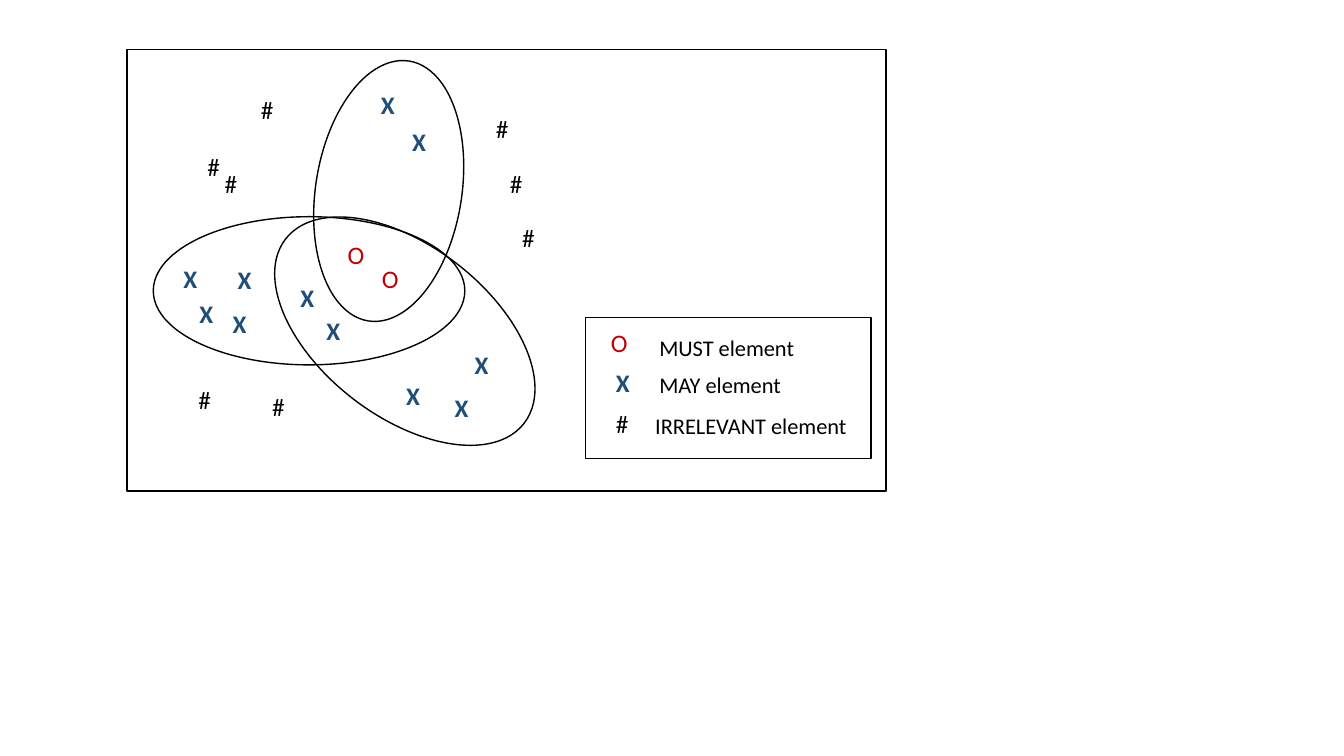
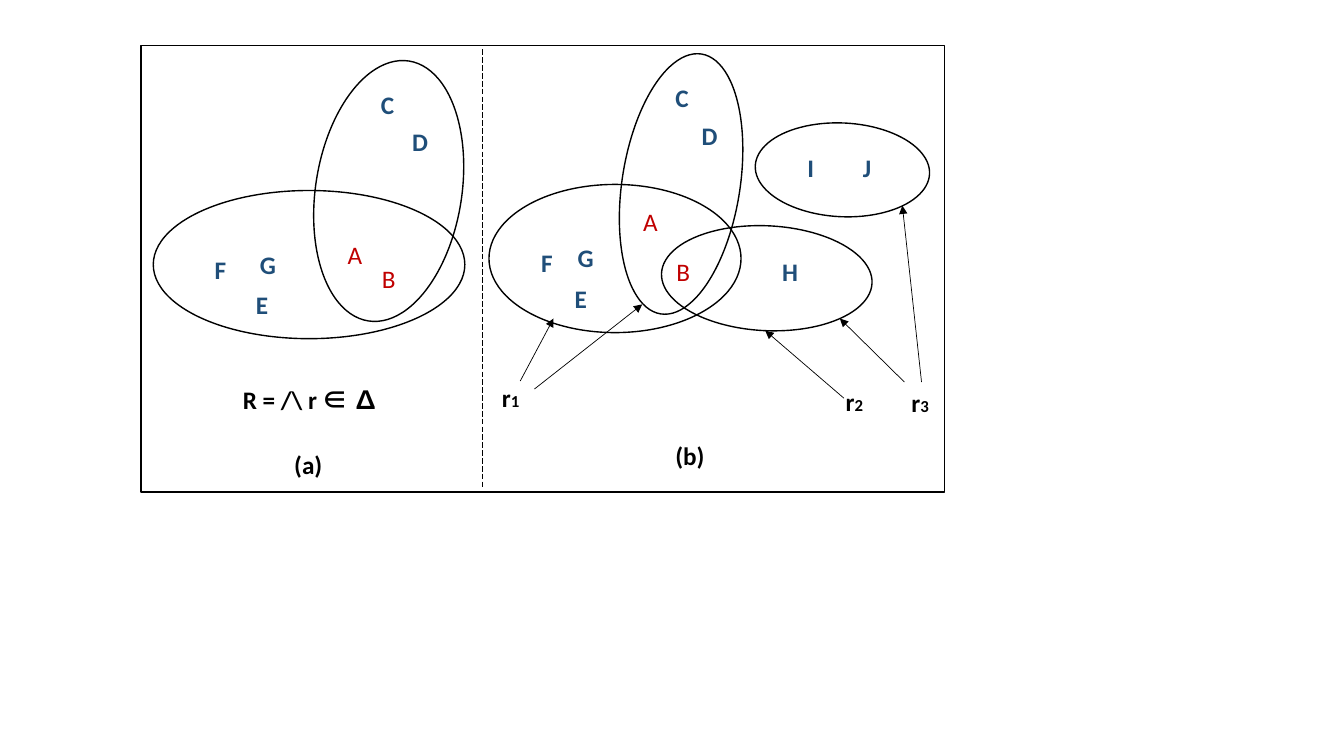
from lxml import etree
from pptx import Presentation
from pptx.dml.color import RGBColor
from pptx.enum import dml, shapes, text
from pptx.oxml import ns
from pptx.util import Inches, Pt

# Shared formats
BLACK = "000000"
MUST = {"size": Pt(18), "bold": False, "color": "C00000"}
MAY = {"size": Pt(18), "bold": True, "color": "1F4E79"}
OTHER = {"size": Pt(18), "bold": False, "color": BLACK}
KEY = {**OTHER, "size": Pt(16)}
LABEL = {**OTHER, "bold": True}
SUB = {**LABEL, "size": Pt(12)}
MATH = {**LABEL, "name": "Noto Sans CJK JP"}
OVAL, RECT = shapes.MSO_SHAPE.OVAL, shapes.MSO_SHAPE.RECTANGLE


def outline(page, kind, left, top, wide, high, turn=0):
    """Draw an unfilled shape with a thin black line."""
    form = page.shapes.add_shape(kind, *map(Inches, (left, top, wide, high)))
    form.rotation = turn
    form.shadow.inherit = False
    form.fill.background()
    form.line.color.rgb = RGBColor.from_string(BLACK)
    form.line.width = Pt(1)


def write(page, left, top, *runs, wide=0.54):
    """Place one line of text made of (words, format) runs."""
    box = page.shapes.add_textbox(*map(Inches, (left, top, wide, 0.4)))
    frame = box.text_frame
    frame.word_wrap = True
    frame.auto_size = text.MSO_AUTO_SIZE.NONE
    for words, style in runs:
        run = frame.paragraphs[0].add_run()
        run.text = words
        for key, value in {"name": "Calibri", **style}.items():
            if key == "color":
                run.font.color.rgb = RGBColor.from_string(value)
            else:
                setattr(run.font, key, value)
        if "name" in style:
            etree.SubElement(run.font._element, ns.qn("a:ea"), typeface=style["name"])


deck = Presentation()
deck.slide_width, deck.slide_height = Inches(13.33), Inches(7.5)
sets, rules = [deck.slides.add_slide(deck.slide_layouts[6]) for _ in range(2)]

# Ellipses: the upright one is the same on both slides
for page in (sets, rules):
    outline(page, OVAL, 2.55, 1.17, 2.61, 1.45, 98.9)
for page, *place in (
    (sets, 1.52, 2.15, 3.09, 1.47),
    (sets, 2.52, 2.44, 2.99, 1.69, 37.7),
    (rules, 1.52, 1.89, 3.09, 1.47),
    (rules, 4.85, 1.83, 2.5, 1.47),
    (rules, 5.45, 1.24, 2.61, 1.17, 98.9),
    (rules, 6.56, 2.24, 2.09, 1.04, 182.7),
    (rules, 7.49, 1.22, 1.73, 0.93, 182.7),
):
    outline(page, OVAL, *place)

# Slide 1: elements inside and outside the sets
spots = {
    "X": (MAY, [(4.61, 3.42), (3.93, 3.72), (4.41, 3.84), (3.68, 0.84),
                (3.99, 1.2), (1.88, 2.91), (2.26, 2.57), (1.72, 2.56),
                (2.88, 2.75), (3.14, 3.08), (2.21, 3.01)]),
    "O": (MUST, [(3.35, 2.33), (3.69, 2.56)]),
    "#": (OTHER, [(1.96, 1.45), (2.49, 0.89), (4.82, 1.08), (1.87, 3.76),
                  (2.6, 3.83), (2.13, 1.62), (5.08, 2.16), (4.96, 1.62)]),
}
for sign, (style, places) in spots.items():
    for left, top in places:
        write(sets, left, top, (sign, style))

# Slide 1: legend and frame
outline(sets, RECT, 5.81, 3.15, 2.83, 1.4)
for sign, left, top, words, start, base in (
    ("O", 5.96, 3.2, "MUST element", 6.44, 3.27),
    ("X", 6.01, 3.59, "MAY element", 6.44, 3.63),
    ("#", 6.01, 4, "IRRELEVANT element", 6.4, 4.04),
):
    write(sets, left, top, (sign, spots[sign][0]))
    write(sets, start, base, (words, KEY), wide=2.31)
outline(sets, RECT, 1.26, 0.49, 7.53, 4.38)

# Slide 2: named elements of both parts
for style, items in (
    (MAY, (("C", 3.68, 0.84), ("D", 3.99, 1.2), ("F", 2.03, 2.47),
           ("E", 2.44, 2.82), ("G", 2.48, 2.42), ("C", 6.6, 0.77),
           ("D", 6.86, 1.14), ("F", 5.27, 2.4), ("E", 5.6, 2.76),
           ("G", 5.63, 2.35), ("H", 7.66, 2.49), ("I", 7.91, 1.46),
           ("J", 8.46, 1.46))),
    (MUST, (("A", 3.35, 2.33), ("B", 3.69, 2.56), ("A", 6.28, 2),
            ("B", 6.61, 2.49))),
    (LABEL, (("(a)", 2.82, 4.41), ("(b)", 6.6, 4.32))),
):
    for sign, left, top in items:
        write(rules, left, top, (sign, style), wide=0.6)

# Slide 2: formula and rule names
write(rules, 2.31, 3.76, (r"R = /\ r ", LABEL), ("∈ ∆", MATH), wide=1.81)
for digit, left, top in (("1", 4.88, 3.74), ("2", 8.29, 3.78), ("3", 8.94, 3.79)):
    write(rules, left, top, ("r", LABEL), (digit, SUB))

# Slide 2: arrows from rules to sets, and the dashed divider
for arrow, *ends in (
    (True, 8.37, 3.95, 7.59, 3.28),
    (True, 5.3, 3.86, 6.37, 3.02),
    (True, 5.16, 3.78, 5.49, 3.16),
    (True, 9.14, 3.79, 8.95, 2.04),
    (True, 8.97, 3.79, 8.33, 3.16),
    (False, 4.78, 0.49, 4.78, 4.85),
):
    link = rules.shapes.add_connector(shapes.MSO_CONNECTOR.STRAIGHT, *map(Inches, ends))
    link.line.color.rgb = RGBColor.from_string(BLACK)
    link.line.width = Pt(0.5)
    if arrow:
        etree.SubElement(link.line._get_or_add_ln(), ns.qn("a:tailEnd"), type="triangle")
    else:
        link.line.dash_style = dml.MSO_LINE.LONG_DASH
    etree.SubElement(link._element.spPr, ns.qn("a:effectLst"))
outline(rules, RECT, 1.4, 0.45, 7.97, 4.43)

deck.save("out.pptx")
